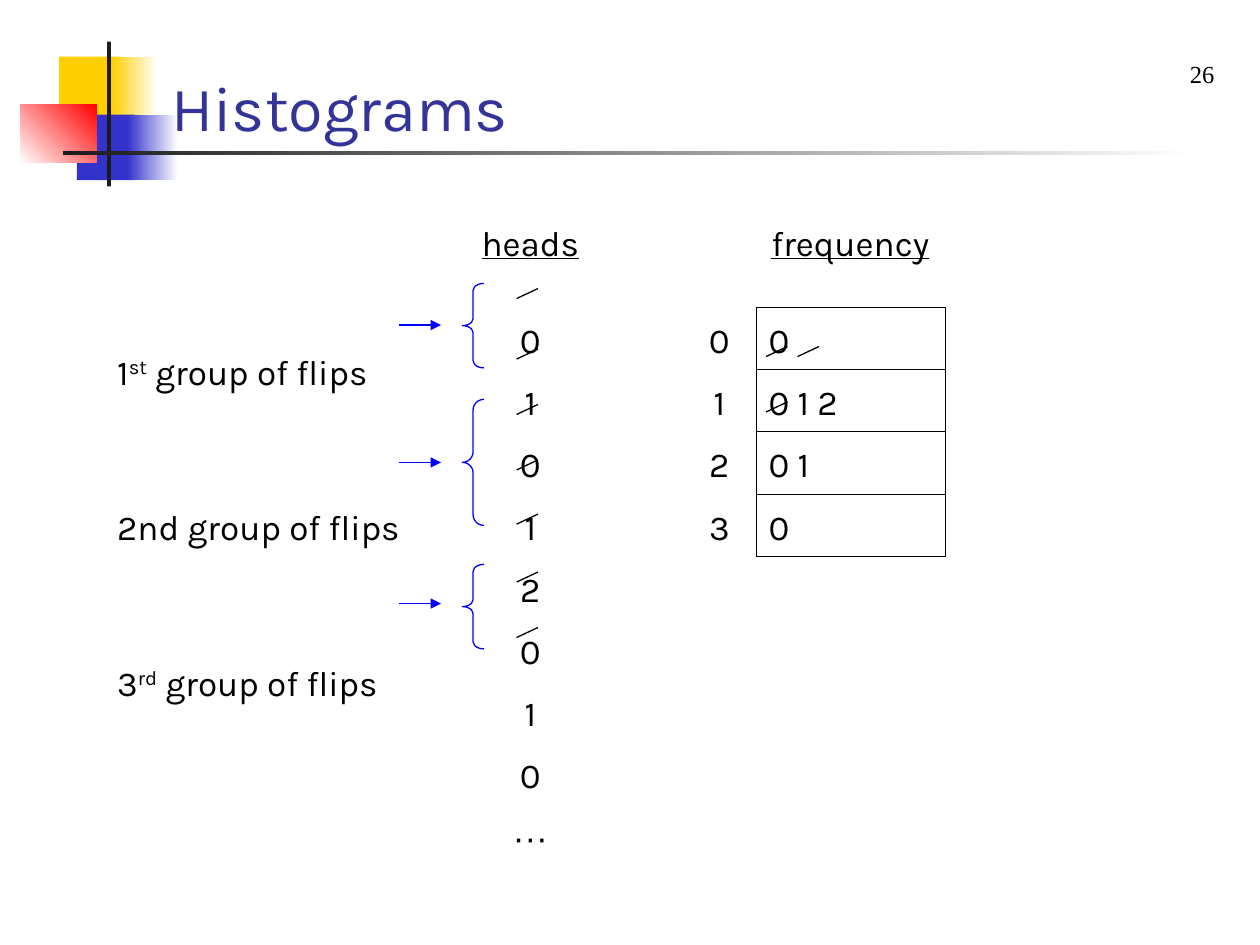
from lxml import etree
from pptx import Presentation
from pptx.dml.color import RGBColor
from pptx.enum import shapes, text
from pptx.oxml import ns
from pptx.util import Inches, Pt

THEME = {
    "title": {"name": "Karla", "size": Pt(36), "color": "333399"},
    "body": {"name": "Karla", "size": Pt(20), "color": "000000"},
    "heading": {"name": "Karla", "size": Pt(20), "color": "000000", "underline": True},
    "dots": {"name": "Arial", "size": Pt(20), "color": "000000"},
    "number": {"name": "Times New Roman", "size": Pt(14), "color": "000000"},
    "ink": "000000", "mark": "0000FF", "rule": "1C1C1C", "white": "FFFFFF",
    "yellow": "FFCF01", "blue": "3333CC", "red": "FF0000",
    "line": Pt(0.75), "border": Pt(0.45),
}

# left, top, width, height, colours (one is solid, two a gradient), angle
DECORATION = [
    (0.47, 0.45, 0.48, 0.52, ["yellow"], 0),
    (0.89, 0.45, 0.36, 0.52, ["yellow", "white"], 0),
    (0.61, 0.91, 0.46, 0.52, ["blue"], 0),
    (1.01, 0.91, 0.40, 0.52, ["blue", "white"], 0),
    (0.16, 0.83, 0.61, 0.46, ["white", "red"], 45),
    (0.85, 0.33, 0.03, 1.15, ["rule"], 0),
    (0.50, 1.20, 9.00, 0.03, ["rule", "white"], 0),
]

COLUMNS = [2.67, 1.42, 0.5, 0.58, 1.5]
HEADING_ROW, ROW = 0.77, 0.49
GROUP_COL, HEADS_COL, BIN_COL, COUNT_COL = 0, 1, 3, 4
HEADS = ["0", "1", "0", "1", "2", "0", "1", "0"]
COUNTS = ["0", "0 1 2", "0 1", "0"]
# first row, last row, ordinal number, raised suffix, rest
GROUPS = [
    (1, 2, "1", "st", " group of flips"),
    (3, 5, "2nd", "", " group of flips"),
    (6, 7, "3", "rd", " group of flips"),
]

# brace top, brace height, arrow height
BRACES = [(2.25, 0.67, 2.58), (3.17, 1.0, 3.67), (4.48, 0.67, 4.79)]
BRACE_LEFT, BRACE_WIDTH = 3.67, 0.17
ARROW_SPAN = (3.17, 3.5)
COUNT_STRIKES = [(6.08, 2.75), (6.08, 3.19), (6.33, 2.75)]
HEAD_STRIKES = [(4.1, top) for top in (2.29, 2.77, 3.21, 3.65, 4.08, 4.54, 4.98)]
STRIKE = (0.17, 0.08)


def rgb(name):
    return RGBColor.from_string(THEME[name])


def add_span(para, words, style):
    span = para.add_run()
    span.text = words
    for key, value in THEME[style].items():
        if key == "color":
            span.font.color.rgb = RGBColor.from_string(value)
        else:
            setattr(span.font, key, value)
    return span


def add_text(page, place, words, style, **frame_format):
    frame = page.shapes.add_textbox(*map(Inches, place)).text_frame
    for key, value in {"word_wrap": True, **frame_format}.items():
        setattr(frame, key, value)
    add_span(frame.paragraphs[0], words, style)
    return frame.paragraphs[0]


def add_block(page, left, top, width, height, colours, angle):
    block = page.shapes.add_shape(
        shapes.MSO_SHAPE.RECTANGLE, *map(Inches, (left, top, width, height)))
    block.shadow.inherit = False
    block.line.fill.background()
    if len(colours) == 1:
        block.fill.solid()
        block.fill.fore_color.rgb = rgb(colours[0])
        return
    block.fill.gradient()
    block.fill.gradient_angle = angle
    for stop, colour, position in zip(block.fill.gradient_stops, colours, (0, 1)):
        stop.color.rgb = rgb(colour)
        stop.position = position


def add_line(page, start, end, colour, arrow=False):
    line = page.shapes.add_connector(
        shapes.MSO_CONNECTOR.STRAIGHT, *map(Inches, (*start, *end)))
    line.line.color.rgb = rgb(colour)
    line.line.width = THEME["line"]
    if arrow:
        etree.SubElement(line.line._get_or_add_ln(), ns.qn("a:tailEnd"), type="triangle")
    etree.SubElement(line._element.spPr, ns.qn("a:effectLst"))


def add_brace(page, top, height):
    brace = page.shapes.add_shape(
        shapes.MSO_SHAPE.LEFT_BRACE,
        *map(Inches, (BRACE_LEFT, top, BRACE_WIDTH, height)))
    brace.shadow.inherit = False
    brace.fill.background()
    brace.line.color.rgb = rgb("mark")
    brace.line.width = THEME["line"]
    brace.adjustments[0] = height / 12 / BRACE_WIDTH


def outline(cell):
    """Draw a thin border on all four sides of a table cell."""
    properties = cell._tc.get_or_add_tcPr()
    for index, side in enumerate(("lnL", "lnR", "lnT", "lnB")):
        edge = etree.Element(ns.qn(f"a:{side}"), w=str(int(THEME["border"])))
        fill = etree.SubElement(edge, ns.qn("a:solidFill"))
        etree.SubElement(fill, ns.qn("a:srgbClr"), val=THEME["ink"])
        properties.insert(index, edge)


def fill_cell(cell, words, style="body", centred=True):
    para = cell.text_frame.paragraphs[0]
    if centred:
        para.alignment = text.PP_ALIGN.CENTER
    return add_span(para, words, style)


def add_histogram(page):
    heights = [HEADING_ROW] + [ROW] * (len(HEADS) + 1)
    place = (0.83, 1.67, sum(COLUMNS), sum(heights))
    table = page.shapes.add_table(
        len(heights), len(COLUMNS), *map(Inches, place)).table
    table.first_row = table.horz_banding = False
    plain_style = "{2D5ABB26-0587-4C30-8999-92F81FD0307C}"
    table._tbl.tblPr.find(ns.qn("a:tableStyleId")).text = plain_style
    for column, width in zip(table.columns, COLUMNS):
        column.width = Inches(width)
    for row, height in zip(table.rows, heights):
        row.height = Inches(height)
    for cell in table.iter_cells():
        cell.fill.background()
        cell.margin_top = Inches(0.11)

    fill_cell(table.cell(0, HEADS_COL), "heads", "heading")
    fill_cell(table.cell(0, COUNT_COL), "frequency", "heading")
    for row, value in enumerate(HEADS, 1):
        fill_cell(table.cell(row, HEADS_COL), value)
    fill_cell(table.cell(len(HEADS) + 1, HEADS_COL), "···", "dots")
    for value, count in enumerate(COUNTS):
        fill_cell(table.cell(value + 1, BIN_COL), str(value))
        count_cell = table.cell(value + 1, COUNT_COL)
        fill_cell(count_cell, count, centred=False)
        outline(count_cell)
    for first, last, number, suffix, rest in GROUPS:
        cell = table.cell(first, GROUP_COL)
        cell.merge(table.cell(last, GROUP_COL))
        cell.vertical_anchor = text.MSO_ANCHOR.MIDDLE
        fill_cell(cell, number, centred=False)
        if suffix:
            raised = fill_cell(cell, suffix, centred=False)
            raised.font._element.set("baseline", "30000")
        fill_cell(cell, rest, centred=False)


def main():
    deck = Presentation()
    deck.slide_width, deck.slide_height = Inches(10), Inches(7.5)
    page = deck.slides.add_slide(deck.slide_layouts[6])
    for block in DECORATION:
        add_block(page, *block)
    add_text(page, (1.26, 0.37, 7.74, 0.82), "Histograms", "title",
             vertical_anchor=text.MSO_ANCHOR.BOTTOM)
    add_histogram(page)
    for top, height, arrow_y in BRACES:
        add_brace(page, top, height)
        add_line(page, *[(x, arrow_y) for x in ARROW_SPAN], "mark", arrow=True)
    for left, top in COUNT_STRIKES + HEAD_STRIKES:
        add_line(page, (left + STRIKE[0], top), (left, top + STRIKE[1]), "ink")
    number = add_text(page, (9.33, 0.42, 0.42, 0.33), "26", "number")
    number.alignment = text.PP_ALIGN.CENTER
    deck.save("out.pptx")


if __name__ == "__main__":
    main()
